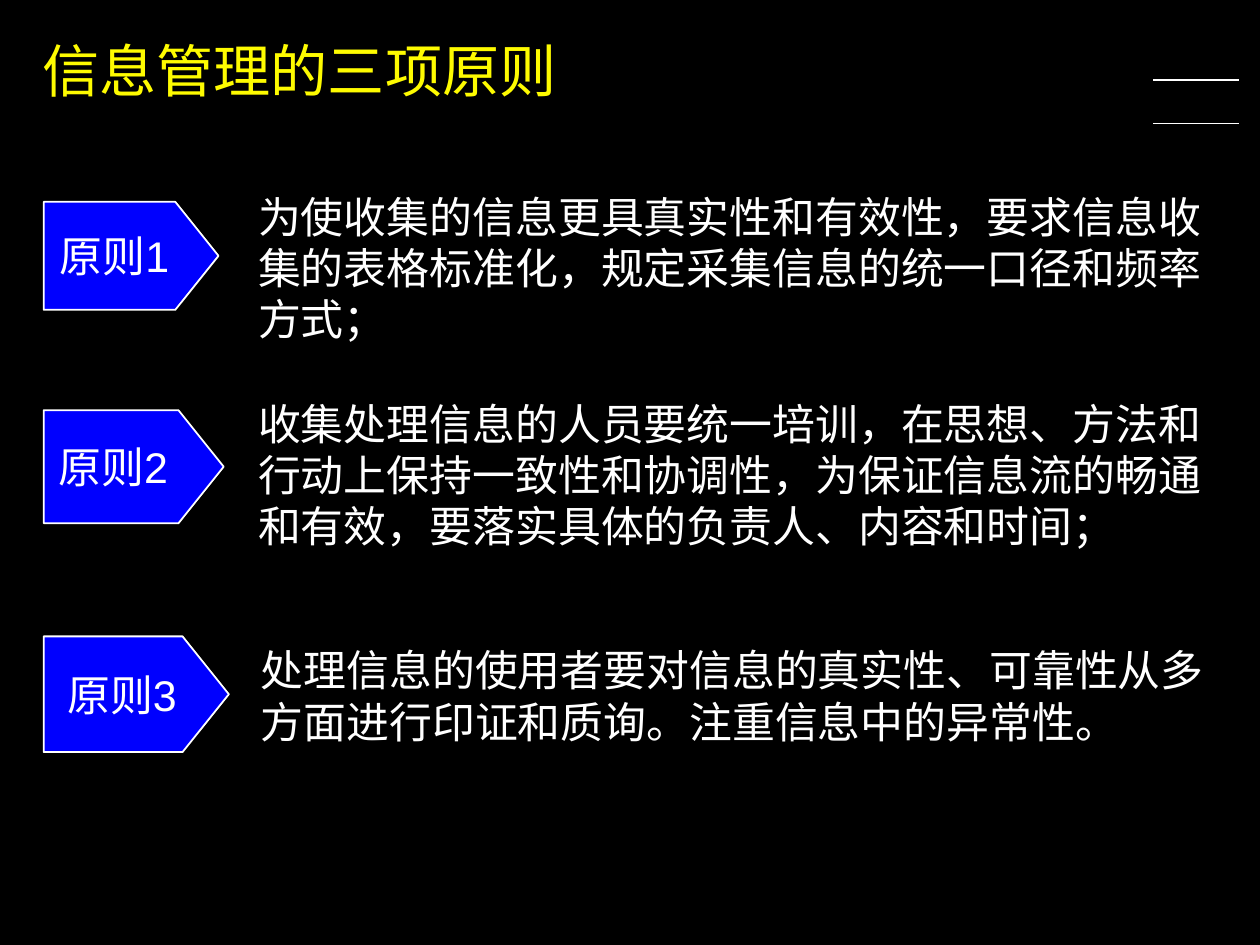
from lxml import etree
from pptx import Presentation
from pptx.dml.color import RGBColor
from pptx.enum.shapes import MSO_CONNECTOR, MSO_SHAPE
from pptx.enum.text import MSO_ANCHOR, PP_ALIGN
from pptx.oxml.ns import qn
from pptx.util import Inches, Pt

STRAIGHT = MSO_CONNECTOR.STRAIGHT
PLATE = MSO_SHAPE.PENTAGON
MIDDLE = MSO_ANCHOR.MIDDLE
LEFT, CENTER = PP_ALIGN.LEFT, PP_ALIGN.CENTER

COLORS = {"background": "000000", "title": "FEFB00", "text": "FFFFFF",
          "plate": "0000FE", "line": "FFFFFF"}
POINT_RATIO = 0.4  # length of a plate's point against its height


class SlideBuilder:
    def __init__(self, page, font="Arial"):
        self.page = page
        self.font = font
        fill = page.background.fill
        fill.solid()
        fill.fore_color.rgb = self.color("background")

    def color(self, name):
        return RGBColor.from_string(COLORS[name])

    def fill_frame(self, frame, text, size, color="text", align=LEFT):
        frame.word_wrap = True
        frame.vertical_anchor = MIDDLE
        para = frame.paragraphs[0]
        para.alignment = align
        span = para.add_run()
        span.text = text
        span.font.name = self.font
        span.font.size = Pt(size)
        span.font.color.rgb = self.color(color)

    def text(self, left, top, width, height, text, size, color="text"):
        box = self.page.shapes.add_textbox(
            Inches(left), Inches(top), Inches(width), Inches(height))
        self.fill_frame(box.text_frame, text, size, color)

    def plate(self, left, top, width, height, label, right_inset):
        plate = self.page.shapes.add_shape(
            PLATE, Inches(left), Inches(top), Inches(width), Inches(height))
        plate.adjustments[0] = POINT_RATIO
        plate.shadow.inherit = False
        plate.fill.solid()
        plate.fill.fore_color.rgb = self.color("plate")
        plate.line.color.rgb = self.color("line")
        plate.line.width = Pt(1)
        frame = plate.text_frame
        frame.margin_top = frame.margin_bottom = 0
        frame.margin_right = Inches(right_inset)
        self.fill_frame(frame, label, 24, align=CENTER)

    def rule(self, left, right, y):
        rule = self.page.shapes.add_connector(
            STRAIGHT, Inches(left), Inches(y), Inches(right), Inches(y))
        rule.line.color.rgb = self.color("line")
        rule.line.width = Pt(1)
        etree.SubElement(rule._element.spPr, qn("a:effectLst"))


# Plate top, width, height and right inset; text left, top, width, height; wording
PRINCIPLES = [
    ((1.57, 1.36, 0.84, 0.19), (1.91, 1.43, 7.57, 1.3),
     "为使收集的信息更具真实性和有效性，要求信息收集的表格标准化，规定采集信息的统一口径和频率方式；"),
    ((3.19, 1.4, 0.88, 0.24), (1.91, 3.04, 7.57, 1.3),
     "收集处理信息的人员要统一培训，在思想、方法和行动上保持一致性和协调性，为保证信息流的畅通和有效，要落实具体的负责人、内容和时间；"),
    ((4.95, 1.44, 0.9, 0.14), (1.93, 4.96, 7.53, 0.9),
     "处理信息的使用者要对信息的真实性、可靠性从多方面进行印证和质询。注重信息中的异常性。"),
]


def main():
    deck = Presentation()
    deck.slide_width, deck.slide_height = Inches(9.8), Inches(7.35)
    builder = SlideBuilder(deck.slides.add_slide(deck.slide_layouts[6]))

    # Corner rules and title
    for y in (0.62, 0.96):
        builder.rule(8.97, 9.64, y)
    builder.text(0.23, 0.22, 5.74, 0.64, "信息管理的三项原则", 32, "title")

    # One plate and one statement per principle
    for number, (plate, area, statement) in enumerate(PRINCIPLES, 1):
        top, width, height, inset = plate
        builder.plate(0.34, top, width, height, f"原则{number}", inset)
        builder.text(*area, statement, 24)

    deck.save("out.pptx")


if __name__ == "__main__":
    main()
